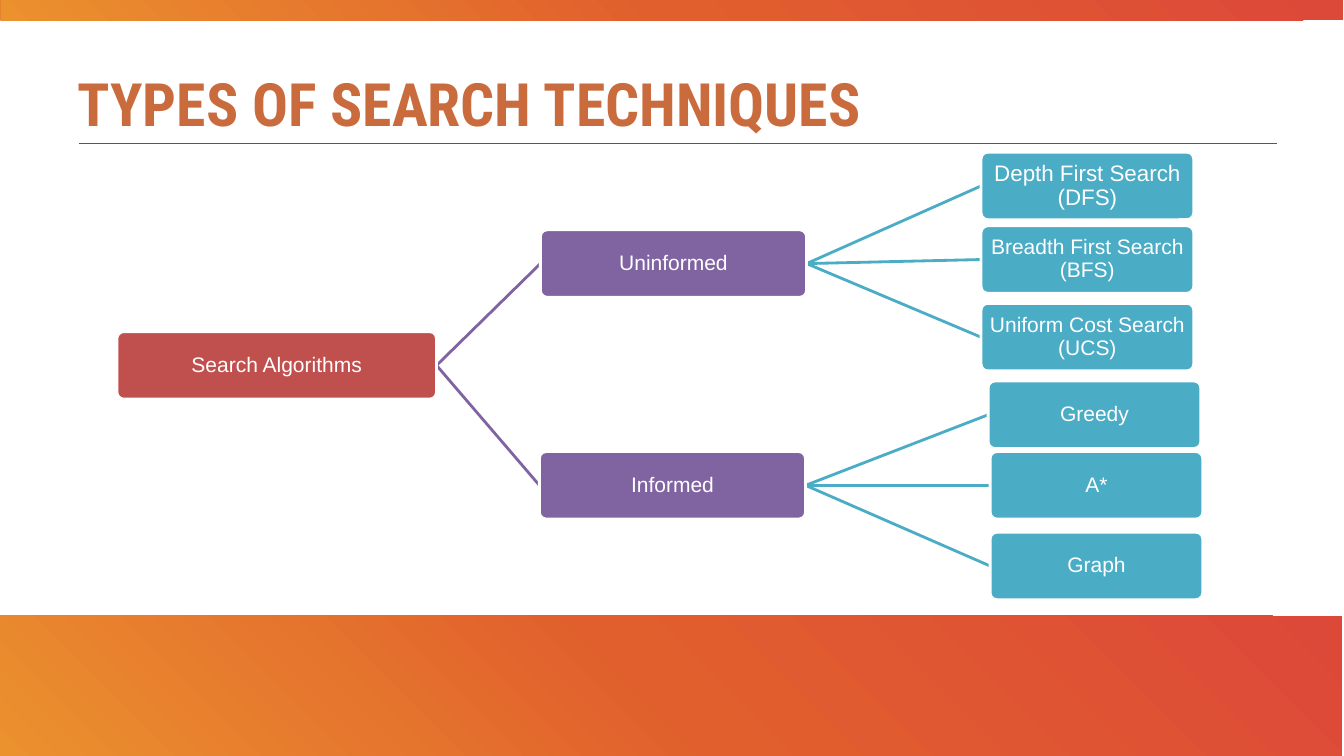
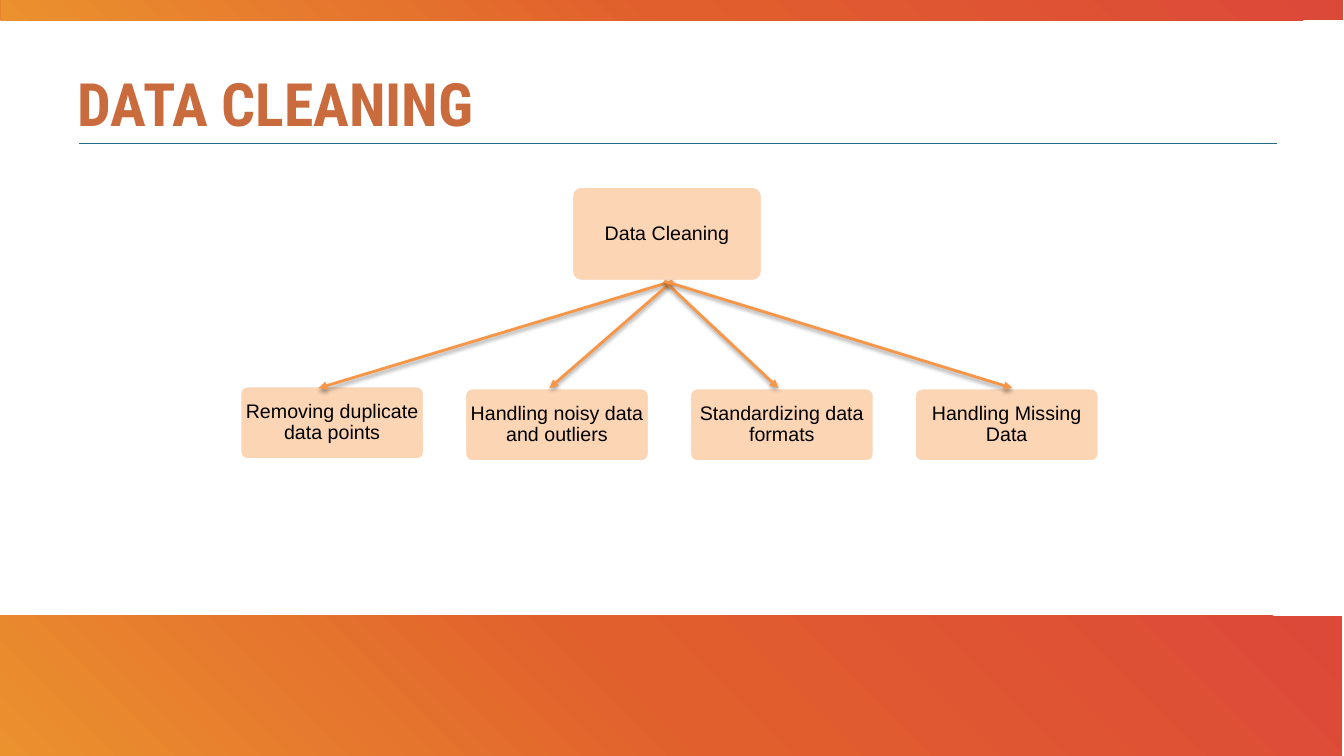
from lxml.etree import SubElement as Sub
from pptx import Presentation
from pptx.dml.color import RGBColor as RGB
from pptx.enum.shapes import MSO_CONNECTOR as Conn, MSO_SHAPE as Kind
from pptx.enum.text import MSO_ANCHOR as Anchor, MSO_AUTO_SIZE as Fit, PP_ALIGN as Align
from pptx.oxml import parse_xml
from pptx.oxml.ns import nsdecls, qn
from pptx.util import Inches as In, Pt

HEX = {
    "title": "C96B3D", "rule": "246B81", "white": "FFFFFF", "black": "000000",
    "root": "C0504D", "group": "8064A2", "leaf": "4BACC6",
    "peach": "FCD5B5", "arrow": "F79646",
}
GRAD = [(0, "EB912E"), (49, "E15F2D"), (100, "DD4939")]
BANDS = [(0.01, -0.03, 13.31, 0.23), (0, 6.11, 13.31, 1.39)]

# Tree: text, left, top, children
TREE = ("Search Algorithms", 1.16, 3.29, [
    ("Uninformed", 5.36, 2.28, [
        ("Depth First Search (DFS)", 9.73, 1.51, []),
        ("Breadth First Search (BFS)", 9.73, 2.24, []),
        ("Uniform Cost Search (UCS)", 9.73, 3.01, []),
    ]),
    ("Informed", 5.35, 4.48, [
        ("Greedy", 9.8, 3.78, []),
        ("A*", 9.82, 4.48, []),
        ("Graph", 9.82, 5.28, []),
    ]),
])
LEVELS = [("root", 3.17), ("group", 2.64), ("leaf", 2.11)]
NODE_H = 0.67
BIG = {"Depth First Search (DFS)": 16}

# Cleaning steps: text, top, arrow start, arrow end
STEPS = [
    ("Removing duplicate data points", 3.83, 6.67, 3.16),
    ("Handling noisy data and outliers", 3.85, 6.67, 5.45),
    ("Standardizing data formats", 3.85, 6.59, 7.72),
    ("Handling Missing Data", 3.85, 6.59, 10.04),
]
STEP_X, STEP_GAP, STEP_W, STEP_H = 2.38, 2.23, 1.83, 0.73
HEAD = (5.67, 1.85, 1.89, 0.94)


def color(name):
    return RGB.from_string(HEX[name])


def put(obj, vals):
    for key, val in vals.items():
        setattr(obj, key, val)


def link(slide, ends, tint, width=2):
    """Draw a straight line and return it with an empty effect list."""
    line = slide.shapes.add_connector(Conn.STRAIGHT, *map(In, ends))
    line.line.color.rgb = color(tint)
    line.line.width = Pt(width)
    return line, Sub(line.element.spPr, qn("a:effectLst"))


def point(line, fx):
    """Add an arrowhead and a soft shadow."""
    Sub(line.element.spPr.find(qn("a:ln")), qn("a:tailEnd"), type="triangle")
    shade = Sub(fx, qn("a:outerShdw"), blurRad="40000", dist="20000",
                dir="5400000", rotWithShape="0")
    tone = Sub(shade, qn("a:srgbClr"), val=HEX["black"])
    Sub(tone, qn("a:alpha"), val="38000")


def card(slide, text, area, fill, ink, size):
    box = slide.shapes.add_shape(Kind.ROUNDED_RECTANGLE, *map(In, area))
    box.adjustments[0] = 0.1
    box.shadow.inherit = False
    box.fill.solid()
    box.fill.fore_color.rgb = color(fill)
    box.line.color.rgb = color("white")
    box.line.width = Pt(2)
    frame = box.text_frame
    put(frame, {"text": text, "word_wrap": True, "vertical_anchor": Anchor.MIDDLE})
    put(frame, {f"margin_{side}": In(0.01) for side in ("left", "top", "right", "bottom")})
    para = frame.paragraphs[0]
    put(para, {"alignment": Align.CENTER, "line_spacing": 0.9})
    put(para.font, {"name": "Arial", "size": Pt(size)})
    para.font.color.rgb = color(ink)
    return box


def theme(slide):
    """Draw the bands and the title rule, and move them to the layout."""
    stops = "".join(f'<a:gs pos="{pos * 1000}"><a:srgbClr val="{tint}"/></a:gs>'
                    for pos, tint in GRAD)
    parts = []
    for area in BANDS:
        band = slide.shapes.add_shape(Kind.RECTANGLE, *map(In, area))
        band.shadow.inherit = False
        band.line.fill.background()
        band.element.spPr.insert(2, parse_xml(
            f'<a:gradFill {nsdecls("a")} rotWithShape="1"><a:gsLst>{stops}</a:gsLst>'
            '<a:path path="circle"><a:fillToRect t="100000" r="100000"/></a:path>'
            '</a:gradFill>'))
        parts.append(band)
    parts.append(link(slide, (0.78, 1.42, 12.67, 1.42), "rule", 0.75)[0])
    for part in parts:
        slide.slide_layout.shapes.element.append(part.element)


def start(deck, text):
    slide = deck.slides.add_slide(deck.slide_layouts[5])
    title = slide.shapes.title
    put(title, {"left": In(0.67), "top": In(0.86), "width": In(12), "height": In(0.56)})
    put(title.text_frame, {"text": text, "vertical_anchor": Anchor.BOTTOM,
                           "auto_size": Fit.NONE, "word_wrap": True})
    para = title.text_frame.paragraphs[0]
    put(para, {"alignment": Align.LEFT, "line_spacing": Pt(29.3)})
    put(para.font, {"name": "Roboto Condensed", "size": Pt(42.7), "bold": True})
    para.font.color.rgb = color("title")
    return slide


def grow(slide, node, depth=0):
    """Draw a node and its subtree, with the lines behind the boxes."""
    text, left, top, kids = node
    fill, width = LEVELS[depth]
    box = card(slide, text, (left, top, width, NODE_H), fill, "white", BIG.get(text, 15))
    for kid in kids:
        sub = grow(slide, kid, depth + 1)
        line, _ = link(slide, (0, 0, 1, 1), LEVELS[depth + 1][0])
        line.begin_connect(box, 3)
        line.end_connect(sub, 1)
        box.element.addprevious(line.element)
    return box


def clean(slide):
    card(slide, "Data Cleaning", HEAD, "peach", "black", 14)
    for i, (text, top, _, _) in enumerate(STEPS):
        card(slide, text, (STEP_X + i * STEP_GAP, top, STEP_W, STEP_H), "peach", "black", 14)
    for _, _, tail, tip in STEPS:
        point(*link(slide, (tail, HEAD[1] + HEAD[3], tip, 3.85), "arrow"))


def main():
    deck = Presentation()
    put(deck, {"slide_width": In(13.33), "slide_height": In(7.5)})
    first = start(deck, "TYPES OF SEARCH TECHNIQUES")
    theme(first)
    grow(first, TREE)
    clean(start(deck, "DATA CLEANING"))
    deck.save("out.pptx")


if __name__ == "__main__":
    main()
